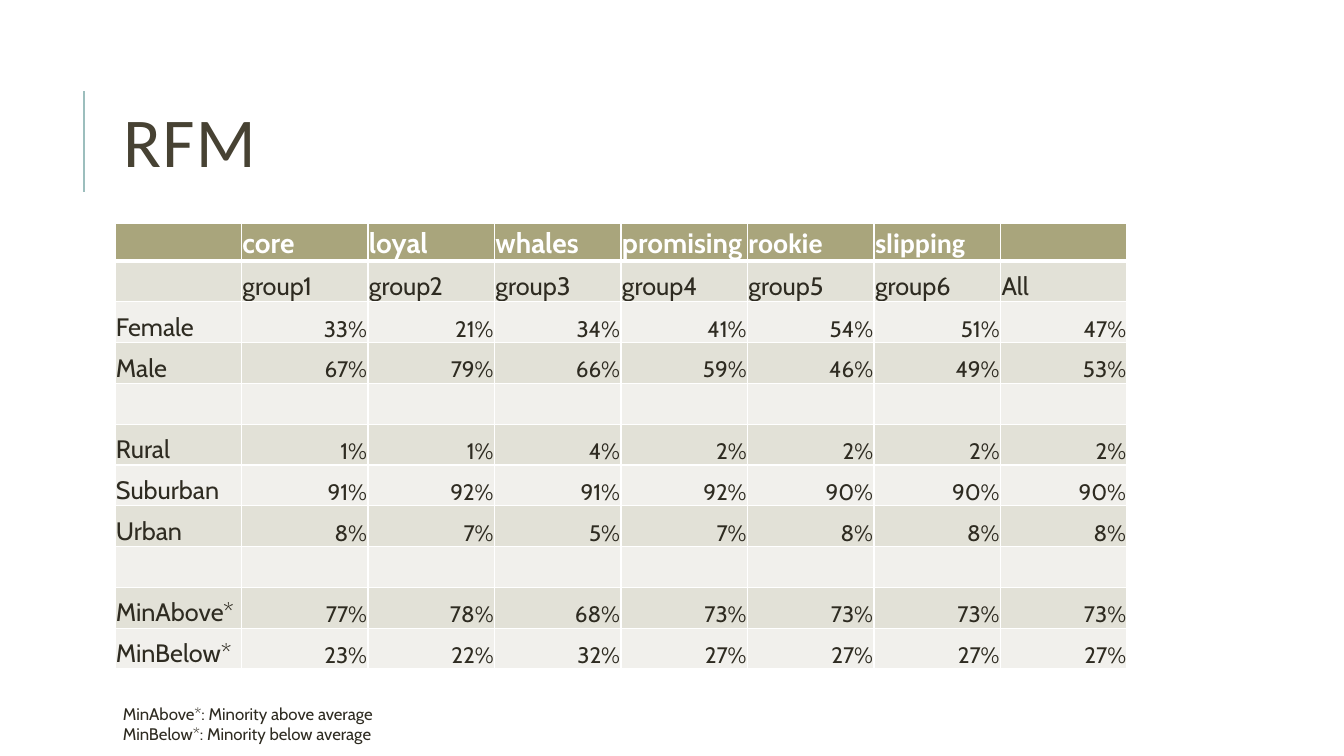
from dataclasses import dataclass
from lxml import etree
from pptx import Presentation
from pptx.dml.color import RGBColor
from pptx.enum.shapes import MSO_CONNECTOR
from pptx.enum.text import MSO_ANCHOR, MSO_AUTO_SIZE, PP_ALIGN
from pptx.oxml import parse_xml
from pptx.oxml.ns import nsdecls, qn
from pptx.util import Inches, Pt


@dataclass(frozen=True)
class Theme:
    title: str = "474233"
    text: str = "2E2B21"
    white: str = "FFFFFF"
    accent: str = "9CBEBD"
    header: str = "A9A57C"
    bands: tuple = ("E2E1D7", "F1F0EC")
    head_font: str = "Calibri"
    body_font: str = "Cabin"
    title_pt: int = 50
    header_pt: int = 20
    label_pt: int = 18
    value_pt: int = 16
    note_pt: int = 12


T = Theme()


def style(font, name, size, color, bold=False):
    font.name, font.size, font.bold = name, Pt(size), bold
    font.color.rgb = RGBColor.from_string(color)


def borders(cell, bottom):
    tc_pr = cell._tc.get_or_add_tcPr()
    widths = {"lnL": 1, "lnR": 1, "lnT": 1, "lnB": bottom}
    for i, (side, width) in enumerate(widths.items()):
        tc_pr.insert(i, parse_xml(
            f'<a:{side} {nsdecls("a")} w="{Pt(width)}"><a:solidFill>'
            f'<a:srgbClr val="{T.white}"/></a:solidFill></a:{side}>'))


prs = Presentation()
prs.slide_width, prs.slide_height = Inches(13.33), Inches(7.5)
s = prs.slides.add_slide(prs.slide_layouts[5])

# Accent line beside the title
line = s.shapes.add_connector(MSO_CONNECTOR.STRAIGHT, Inches(0.83), Inches(1.9),
                              Inches(0.83), Inches(0.9))
line.line.color.rgb = RGBColor.from_string(T.accent)
line.line.width = Pt(1.5)
etree.SubElement(line._element.spPr, qn("a:effectLst"))

# Title
title = s.shapes.title
title.left, title.top = Inches(1.12), Inches(0.64)
title.width, title.height = Inches(10.63), Inches(1.64)
tf = title.text_frame
tf.text = "RFM"
tf.auto_size = MSO_AUTO_SIZE.NONE
tf.vertical_anchor = MSO_ANCHOR.MIDDLE
p = tf.paragraphs[0]
p.alignment, p.line_spacing = PP_ALIGN.LEFT, 0.8
style(p.font, T.head_font, T.title_pt, T.title)
p.runs[0]._r.get_or_add_rPr().set("spc", "100")

# Segment table
rows = [
    ["", "core", "loyal", "whales", "promising", "rookie", "slipping", ""],
    ["", "group1", "group2", "group3", "group4", "group5", "group6", "All"],
    ["Female", "33%", "21%", "34%", "41%", "54%", "51%", "47%"],
    ["Male", "67%", "79%", "66%", "59%", "46%", "49%", "53%"],
    [""] * 8,
    ["Rural", "1%", "1%", "4%", "2%", "2%", "2%", "2%"],
    ["Suburban", "91%", "92%", "91%", "92%", "90%", "90%", "90%"],
    ["Urban", "8%", "7%", "5%", "7%", "8%", "8%", "8%"],
    [""] * 8,
    ["MinAbove*", "77%", "78%", "68%", "73%", "73%", "73%", "73%"],
    ["MinBelow*", "23%", "22%", "32%", "27%", "27%", "27%", "27%"],
]
table = s.shapes.add_table(len(rows), len(rows[0]), Inches(1.14), Inches(2.22),
                           Inches(10.04), Inches(4.42)).table
for i, row in enumerate(rows):
    is_header = i == 0
    table.rows[i].height = Inches(0.37 if is_header else 0.405)
    fill = T.header if is_header else T.bands[(i - 1) % 2]
    for j, text in enumerate(row):
        cell = table.cell(i, j)
        cell.fill.solid()
        cell.fill.fore_color.rgb = RGBColor.from_string(fill)
        borders(cell, bottom=3 if is_header else 1)
        cell.vertical_anchor = MSO_ANCHOR.BOTTOM
        cell.margin_left = cell.margin_right = cell.margin_top = Inches(0.01)
        cell.margin_bottom = 0
        p = cell.text_frame.paragraphs[0]
        if not text:
            p.font.size = Pt(T.value_pt)
            continue
        r = p.add_run()
        r.text = text
        if is_header:
            name = T.head_font if text in ("rookie", "slipping") else T.body_font
            style(r.font, name, T.header_pt, T.white, bold=True)
        elif text.endswith("%"):
            p.alignment = PP_ALIGN.RIGHT
            style(r.font, T.body_font, T.value_pt, T.text)
        else:
            style(r.font, T.body_font, T.label_pt, T.text)

# Footnotes
notes = s.shapes.add_textbox(Inches(1.12), Inches(6.93), Inches(4.49), Inches(0.5))
tf = notes.text_frame
tf.word_wrap = True
tf.text = "MinAbove*: Minority above average\nMinBelow*: Minority below average"
for p in tf.paragraphs:
    style(p.font, T.body_font, T.note_pt, T.text)

prs.save("out.pptx")
